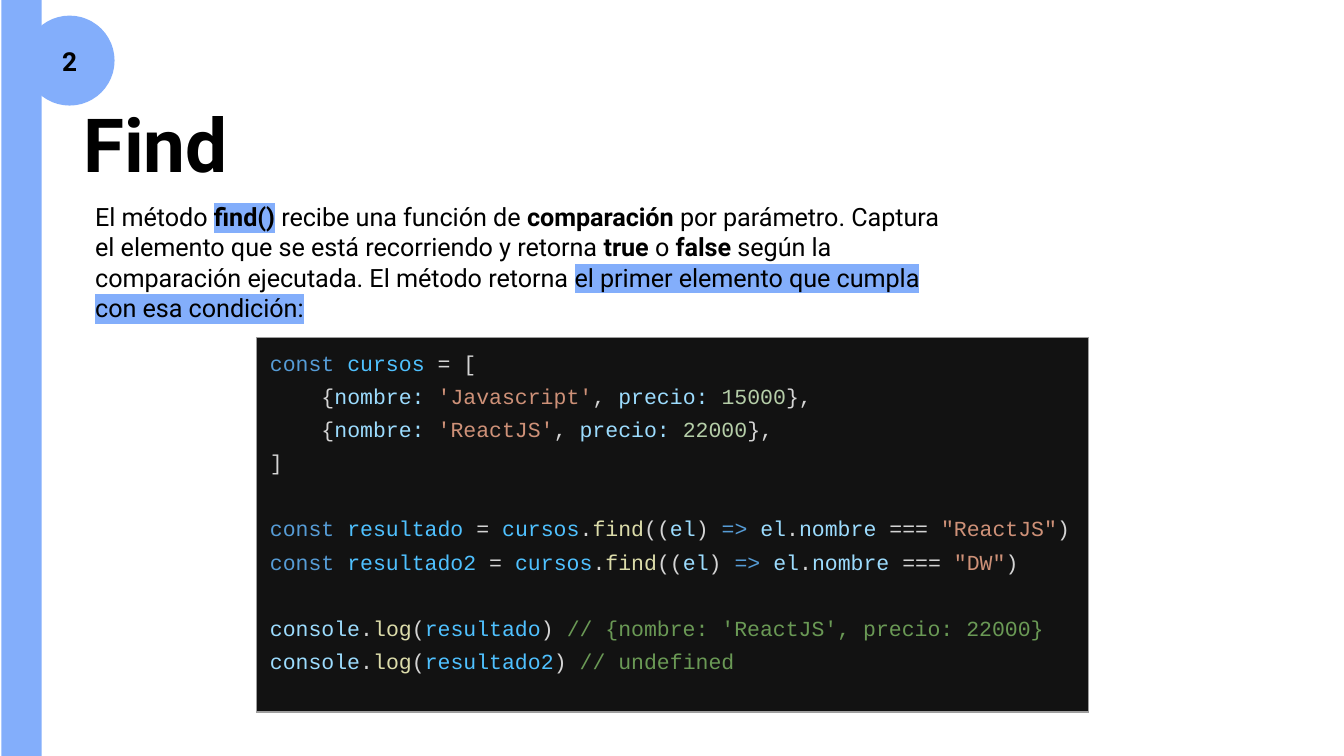
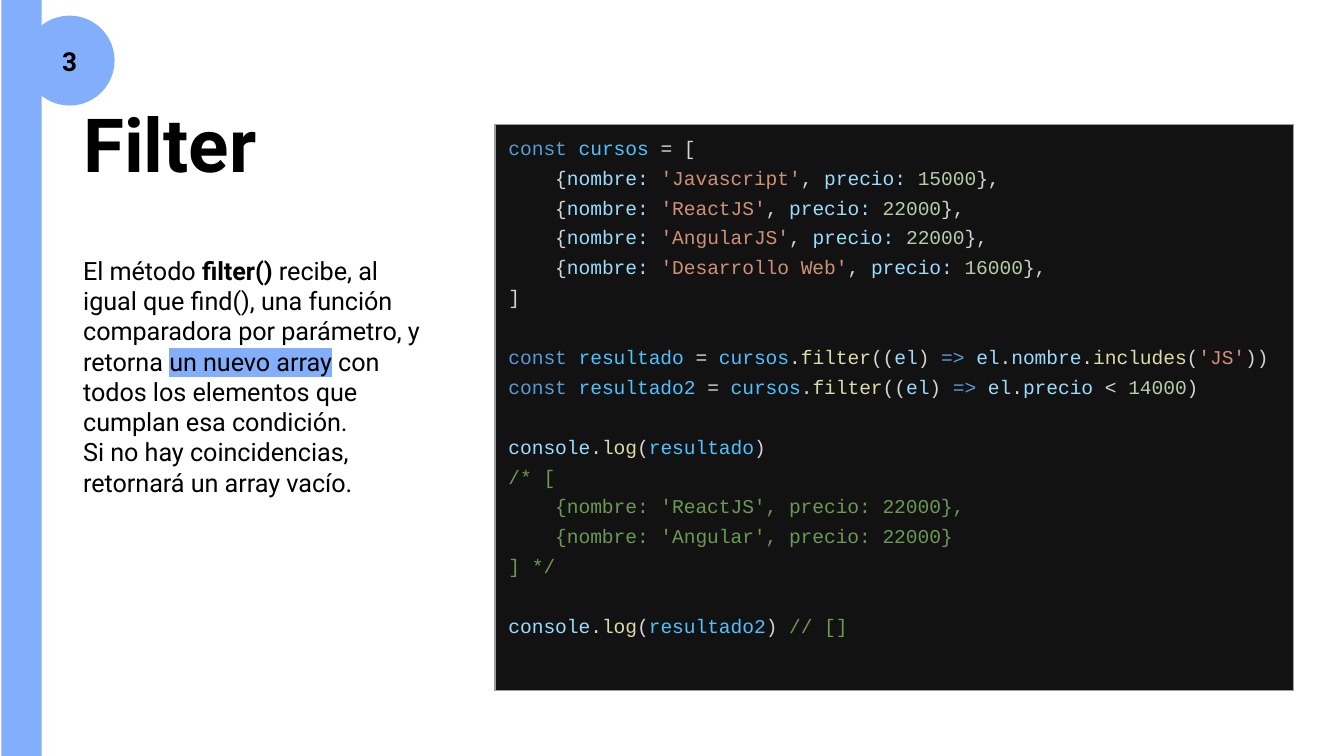
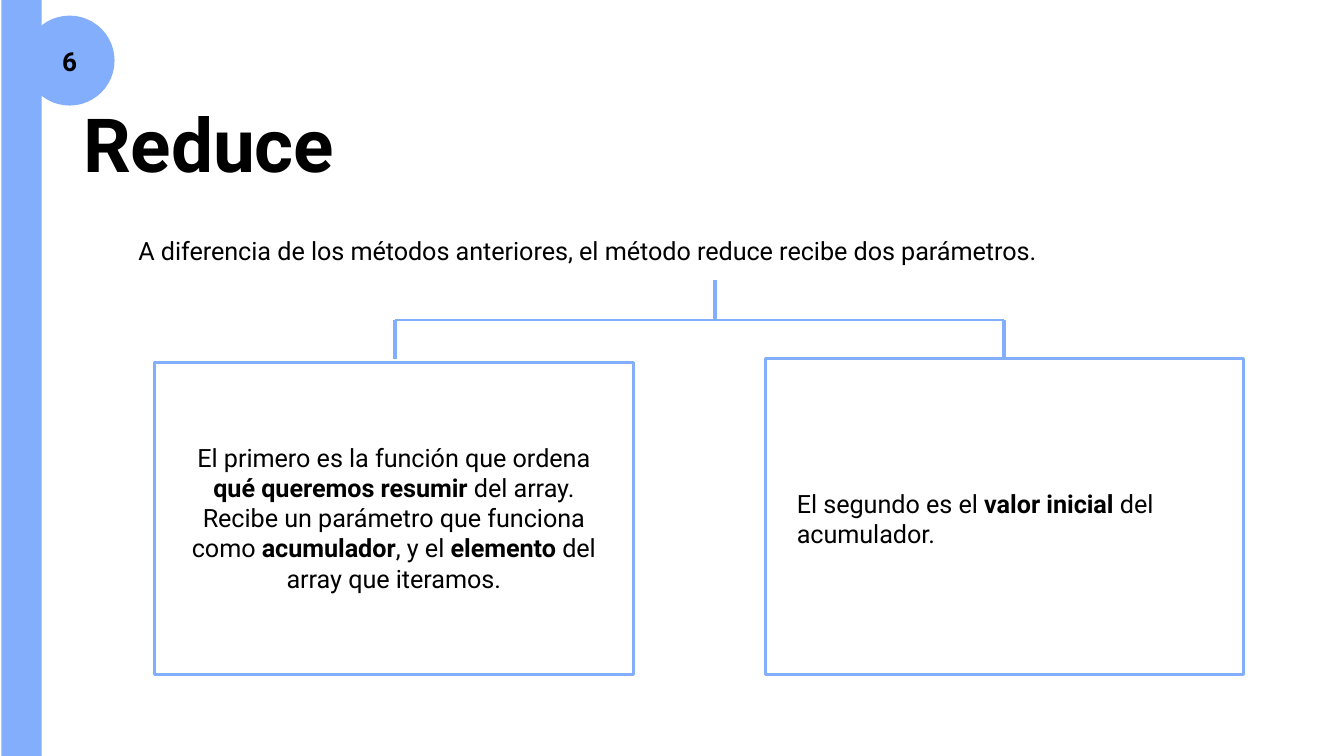
from lxml import etree
from pptx import Presentation
from pptx.dml.color import RGBColor
from pptx.enum import shapes, text
from pptx.oxml import ns
from pptx.util import Pt

BLUE, BLACK, WHITE = "83AEFB", "000000", "FFFFFF"
INK, GREY = "121212", "9E9E9E"
SANS, MONO = "Roboto", "Courier New"
TONES = {"k": "569CD6", "v": "4FC1FF", "t": "D4D4D4", "p": "9CDCFE",
         "s": "CE9178", "n": "B5CEA8", "f": "DCDCAA", "c": "6A9955"}
LEFT, MID, JUST = text.PP_ALIGN.LEFT, text.PP_ALIGN.CENTER, text.PP_ALIGN.JUSTIFY
SHAPE = shapes.MSO_SHAPE


def rgb(code):
    """Turn a hex string into a colour."""
    return RGBColor.from_string(code)


def node(parent, tag, **attrs):
    """Append a drawing element to its parent."""
    return etree.SubElement(parent, ns.qn("a:" + tag), attrs)


def split(marks):
    """Split 'key|text|key|text' into pairs."""
    parts = marks.split("|")
    return list(zip(parts[::2], parts[1::2]))


def font(par, size, name=SANS, bold=None):
    """Set the font of a paragraph."""
    par.font.size, par.font.name, par.font.bold = Pt(size), name, bold


def glow(run):
    """Highlight a run in blue."""
    mark = etree.Element(ns.qn("a:highlight"))
    node(mark, "srgbClr", val=BLUE)
    run.font.fill._xPr.find(ns.qn("a:solidFill")).addnext(mark)


def shape(slide, kind, box, fill=None, line=None, width=0.75):
    """Add a flat preset shape."""
    item = slide.shapes.add_shape(kind, *map(Pt, box))
    item.shadow.inherit = False
    if fill:
        item.fill.solid()
        item.fill.fore_color.rgb = rgb(fill)
    else:
        item.fill.background()
    if line:
        item.line.color.rgb = rgb(line)
        item.line.width = Pt(width)
    else:
        item.line.fill.background()
    return item


def pad(frame, right=7.2):
    """Wrap a text frame and set its insets."""
    frame.word_wrap = True
    frame.margin_left = frame.margin_top = frame.margin_bottom = Pt(7.2)
    frame.margin_right = Pt(right)


def prose(item, paras, align=LEFT, after=None, right=7.2):
    """Fill a shape with text whose keys hold b for bold, h for highlight."""
    frame = item.text_frame
    pad(frame, right)
    frame.vertical_anchor = text.MSO_ANCHOR.TOP
    frame.auto_size = text.MSO_AUTO_SIZE.SHAPE_TO_FIT_TEXT
    for i, marks in enumerate(paras):
        par = frame.add_paragraph() if i else frame.paragraphs[0]
        par.alignment = align
        if after:
            par.space_after = Pt(after)
        font(par, 13.5)
        for key, words in split(marks):
            run = par.add_run()
            run.text = words
            run.font.color.rgb = rgb(BLACK)
            if "b" in key:
                run.font.bold = True
            if "h" in key:
                glow(run)


def label(slide, box, *paras, **style):
    """Add a text box with prose."""
    prose(slide.shapes.add_textbox(*map(Pt, box)), paras, **style)


def head(frame, words, size):
    """Write one bold black line and return its paragraph."""
    pad(frame)
    par = frame.paragraphs[0]
    font(par, size, bold=True)
    par.font.color.rgb = rgb(BLACK)
    par.add_run().text = words
    return par


def page(deck, title, num):
    """Add a slide with band, title and numbered disc."""
    slide = deck.slides.add_slide(deck.slide_layouts[6])
    shape(slide, SHAPE.RECTANGLE, (0.75, 0, 21.6, 405), BLUE)
    box = slide.shapes.add_textbox(Pt(37.5), Pt(50.4), Pt(645), Pt(58.3))
    head(box.text_frame, title, 40).line_spacing = 0.9
    disc = shape(slide, SHAPE.OVAL, (13.2, 8.4, 48.2, 48.2), BLUE)
    head(disc.text_frame, num, 14).alignment = MID
    disc.text_frame.vertical_anchor = text.MSO_ANCHOR.MIDDLE
    return slide


def edge(cell):
    """Draw grey borders round a cell."""
    props = cell._tc.get_or_add_tcPr()
    for i, side in enumerate(("lnL", "lnR", "lnT", "lnB")):
        line = etree.Element(ns.qn("a:" + side), w=str(Pt(0.75)))
        node(node(line, "solidFill"), "srgbClr", val=GREY)
        props.insert(i, line)


def code(slide, box, size, blocks):
    """Show blocks of coloured code in a one-cell table."""
    table = slide.shapes.add_table(1, 1, *map(Pt, box)).table
    table.first_row = table.horz_banding = False
    cell = table.cell(0, 0)
    cell.fill.solid()
    cell.fill.fore_color.rgb = rgb(INK)
    edge(cell)
    pad(cell.text_frame)
    par = None
    for block in blocks:
        for i, marks in enumerate(block):
            gap = par is not None and i == 0
            par = cell.text_frame.add_paragraph() if par else cell.text_frame.paragraphs[0]
            par.alignment, par.line_spacing = JUST, 1.36
            if gap:
                par.space_before = Pt(round(size * 1.53, 1))
            font(par, size, MONO)
            for key, words in split(marks):
                run = par.add_run()
                run.text = words
                run.font.color.rgb = rgb(TONES[key])


def listing(*rows):
    """Give the code lines of the course array."""
    body = [f"t|    {{|p|nombre: |s|'{name}'|t|, |p|precio: |n|{price}|t|}},"
            for name, price in rows]
    return ["k|const |v|cursos|t| = [", *body, "t|]"]


def query(name, call, test):
    """Give the code line that searches the array."""
    return (f"k|const |v|{name}|t| = |v|cursos|t|.|f|{call}|t|((|p|el|t|) "
            f"|k|=> |p|el|t|.|{test}")


def log(name, note=""):
    """Give the code line that prints a result."""
    tail = f" |c|{note}" if note else ""
    return f"p|console|t|.|f|log|t|(|v|{name}|t|){tail}"


def link(slide, start, end, width, top=None):
    """Draw a blue line, joined to the top of a shape if given."""
    line = slide.shapes.add_connector(shapes.MSO_CONNECTOR.STRAIGHT, *map(Pt, start + end))
    line.line.color.rgb = rgb(BLUE)
    line.line.width = Pt(width)
    node(line._element.spPr, "effectLst")
    if top:
        line.begin_connect(top, 0)


def find(deck):
    """Build the slide on find."""
    slide = page(deck, "Find", "2")
    box = shape(slide, SHAPE.RECTANGLE, (43.9, 100.8, 638.6, 80), line=WHITE)
    prose(box, [
        "|El método |bh|find()|| recibe una función de |b|comparación ||por parámetro. "
        "Captura el elemento que se está recorriendo y retorna |b|true ||o |b|false "
        "||según la comparación ejecutada. El método retorna "
        "|h|el primer elemento que cumpla con esa condición:"], right=173)
    code(slide, (137.4, 180.9, 445.7, 200.6), 11.5, [
        listing(("Javascript", 15000), ("ReactJS", 22000)),
        [query("resultado", "find", 'p|nombre|t| === |s|"ReactJS"|t|)'),
         query("resultado2", "find", 'p|nombre|t| === |s|"DW"|t|)')],
        [log("resultado", "// {nombre: 'ReactJS', precio: 22000}"),
         log("resultado2", "// undefined")]])


def pick(deck):
    """Build the slide on filter."""
    slide = page(deck, "Filter", "3")
    box = shape(slide, SHAPE.RECTANGLE, (37.5, 129.6, 196.6, 145.4), line=WHITE)
    prose(box, [
        "|El método |b|filter()|| recibe, al igual que find(), una función comparadora "
        "por parámetro, y retorna |h|un nuevo array|| con todos los elementos que "
        "cumplan esa condición.",
        "|Si no hay coincidencias, retornará un array vacío."])
    code(slide, (265.2, 66.8, 427.7, 303), 10.5, [
        listing(("Javascript", 15000), ("ReactJS", 22000),
                ("AngularJS", 22000), ("Desarrollo Web", 16000)),
        [query("resultado", "filter", "p|nombre|t|.|f|includes|t|(|s|'JS'|t|))"),
         query("resultado2", "filter", "p|precio|t| < |n|14000|t|)")],
        [log("resultado"), "c|/* [",
         "c|    {nombre: 'ReactJS', precio: 22000},",
         "c|    {nombre: 'Angular', precio: 22000}", "c|] */"],
        [log("resultado2", "// []")]])


def fold(deck):
    """Build the slide on reduce."""
    slide = page(deck, "Reduce", "6")
    right = shape(slide, SHAPE.RECTANGLE, (409.9, 192.2, 256.4, 169.2), line=BLUE, width=1.5)
    shape(slide, SHAPE.RECTANGLE, (82.8, 194.4, 256.4, 167), line=BLUE, width=1.5)
    label(slide, (67, 118.8, 586, 31),
          "|A diferencia de los métodos anteriores, el método reduce recibe dos parámetros.")
    label(slide, (92.9, 229.7, 236.2, 96.5),
          "|El primero es la función que ordena |b|qué queremos resumir|| del array. "
          "Recibe un parámetro que funciona como |b|acumulador||, y el |b|elemento "
          "||del array que iteramos.", align=MID, after=12)
    label(slide, (419.8, 254.2, 236.2, 47.5),
          "|El segundo es el |b|valor inicial|| del acumulador.", after=12)
    west, east, bar, foot = 211.7, 538.1, 171.4, 192.2
    link(slide, (383, bar), (383, 149.8), 2.25)
    link(slide, (west, bar), (east, bar), 1.5)
    link(slide, (west, foot), (west, bar), 2.25)
    link(slide, (east, foot), (east, bar), 2.25, right)


def main():
    """Build and save the deck."""
    deck = Presentation()
    deck.slide_width, deck.slide_height = Pt(720), Pt(405)
    for build in (find, pick, fold):
        build(deck)
    deck.save("out.pptx")


if __name__ == "__main__":
    main()
